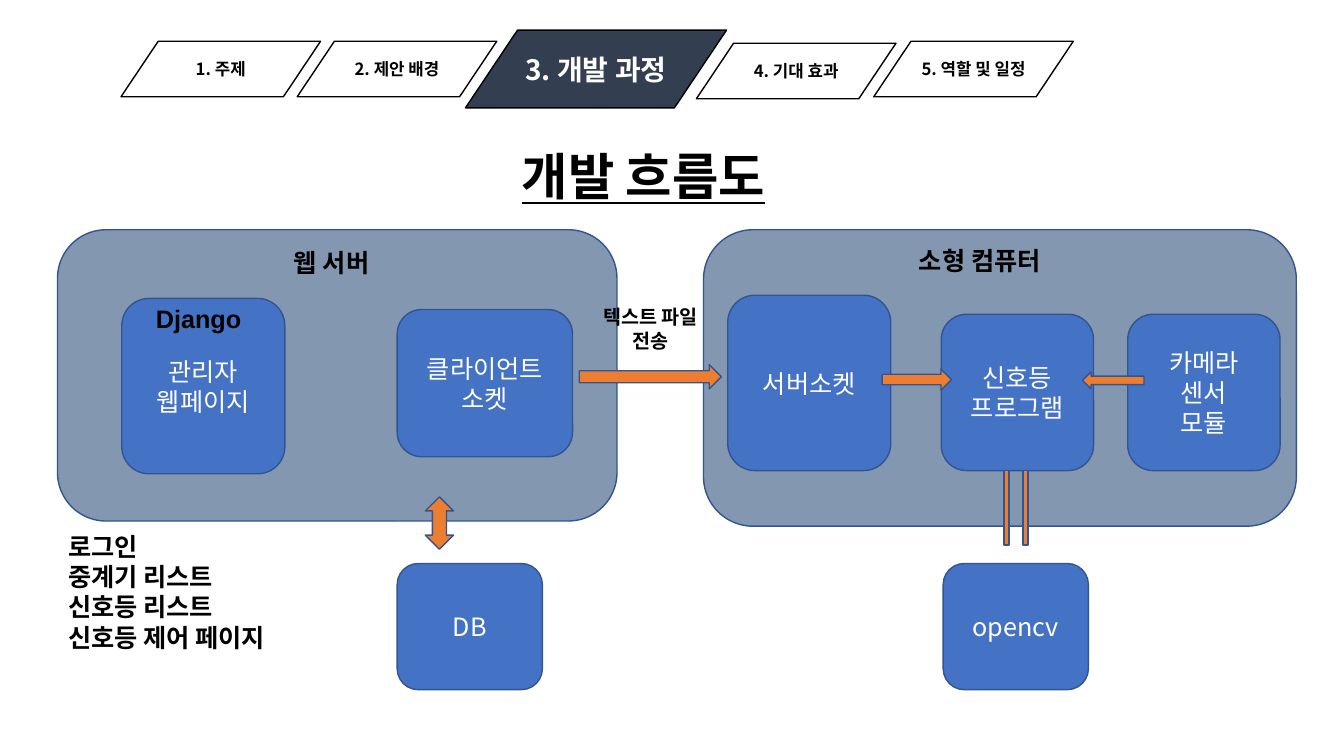
from lxml.etree import SubElement
from pptx import Presentation
from pptx.dml.color import RGBColor
from pptx.enum.shapes import MSO_SHAPE
from pptx.enum.text import MSO_ANCHOR, PP_ALIGN
from pptx.oxml.ns import qn
from pptx.util import Cm, Pt

KOREAN = "Noto Sans CJK KR"
NARROW = "Arial Narrow"
EDGE = "325491"

deck = Presentation()
deck.slide_width, deck.slide_height = Cm(33.87), Cm(19.05)
slide = deck.slides.add_slide(deck.slide_layouts[6])


def write(shape, text, size, color, font=KOREAN, bold=False, align=PP_ALIGN.CENTER):
    frame = shape.text_frame
    frame.text = text
    for para in frame.paragraphs:
        para.alignment = align
        for run in para.runs:
            run.font.size = Pt(size)
            run.font.bold = bold
            run.font.color.rgb = RGBColor.from_string(color)
            run.font.name = font
            SubElement(run._r.rPr, qn("a:ea")).set("typeface", KOREAN)


def draw(kind, x, y, w, h, fill, line=EDGE):
    shape = slide.shapes.add_shape(kind, Cm(x), Cm(y), Cm(w), Cm(h))
    shape.shadow.inherit = False
    shape.fill.solid()
    shape.fill.fore_color.rgb = RGBColor.from_string(fill)
    shape.line.color.rgb = RGBColor.from_string(line)
    shape.line.width = Pt(1)
    shape.text_frame.vertical_anchor = MSO_ANCHOR.MIDDLE
    return shape


# Panels
for x, w, h in [(1.45, 14.1, 7.34), (17.73, 14.94, 7.47)]:
    draw(MSO_SHAPE.ROUNDED_RECTANGLE, x, 5.79, w, h, "8497B0")

# Chapter tabs, the current one larger and dark
tabs = [
    ("3. 개발 과정", 11.73, 0.76, 6.58, 1.96, "333F50", "FFFFFF", 20),
    ("1. 주제", 3.05, 1.04, 5.03, 1.4, "FFFFFF", "000000", 12),
    ("2. 제안 배경", 7.49, 1.04, 5.03, 1.4, "FFFFFF", "000000", 12),
    ("4. 기대 효과", 17.55, 1.09, 5.03, 1.4, "FFFFFF", "000000", 12),
    ("5. 역할 및 일정", 22.02, 1.04, 5.03, 1.4, "FFFFFF", "000000", 12),
]
for text, x, y, w, h, fill, ink, size in tabs:
    tab = draw(MSO_SHAPE.PARALLELOGRAM, x, y, w, h, fill, "000000")
    tab.adjustments[0] = 0.67
    tab.text_frame.word_wrap = False
    write(tab, text, size, ink, bold=True)

# Parts of the system
parts = [
    ("관리자\n웹페이지", 3.07, 7.52, 4.11, 4.42),
    ("서버소켓", 18.34, 7.44, 4.11, 4.42),
    ("클라이언트\n소켓", 10.01, 7.8, 4.42, 3.71),
    ("신호등\n프로그램", 23.72, 7.92, 3.84, 3.94),
    ("카메라\n센서\n모듈", 28.42, 7.92, 3.84, 3.94),
    ("DB", 10.01, 14.2, 3.66, 3.18),
    ("opencv", 23.77, 14.2, 3.66, 3.18),
]
for text, x, y, w, h in parts:
    part = draw(MSO_SHAPE.ROUNDED_RECTANGLE, x, y, w, h, "4472C4")
    write(part, text, 18, "FFFFFF")

# Arrows and link bars
arrows = [
    (MSO_SHAPE.RIGHT_ARROW, 14.6, 9.19, 3.58, 0.61, 0),
    (MSO_SHAPE.RIGHT_ARROW, 22.23, 9.3, 1.75, 0.53, 0),
    (MSO_SHAPE.RIGHT_ARROW, 27.28, 9.37, 1.55, 0.43, 180),
    (MSO_SHAPE.UP_DOWN_ARROW, 10.72, 12.52, 0.71, 1.32, 0),
    (MSO_SHAPE.RECTANGLE, 25.3, 11.86, 0.13, 1.88, 0),
    (MSO_SHAPE.RECTANGLE, 25.78, 11.86, 0.13, 1.88, 0),
]
for kind, x, y, w, h, turn in arrows:
    draw(kind, x, y, w, h, "ED7D31").rotation = turn

# Title and labels
left, center = PP_ALIGN.LEFT, PP_ALIGN.CENTER
pages = "로그인\n중계기 리스트\n신호등 리스트\n신호등 제어 페이지"
labels = [
    ("개발 흐름도", 12.9, 3.53, 7.01, 1.8, 36, KOREAN, left),
    ("웹 서버", 7.16, 6.1, 2.84, 1.02, 18, NARROW, left),
    ("소형 컴퓨터", 22.91, 6.05, 4.57, 1.02, 18, NARROW, left),
    ("Django", 3.68, 7.52, 2.92, 1.02, 18, "Arial", left),
    ("텍스트 파일\n전송", 14.68, 7.57, 3.43, 1.45, 14, NARROW, center),
    (pages, 1.47, 13.26, 6.02, 3.33, 18, NARROW, left),
]
for text, x, y, w, h, size, font, align in labels:
    label = slide.shapes.add_textbox(Cm(x), Cm(y), Cm(w), Cm(h))
    label.text_frame.word_wrap = True
    write(label, text, size, "000000", font, True, align)
    if size == 36:
        label.text_frame.paragraphs[0].runs[0].font.underline = True

deck.save("out.pptx")
